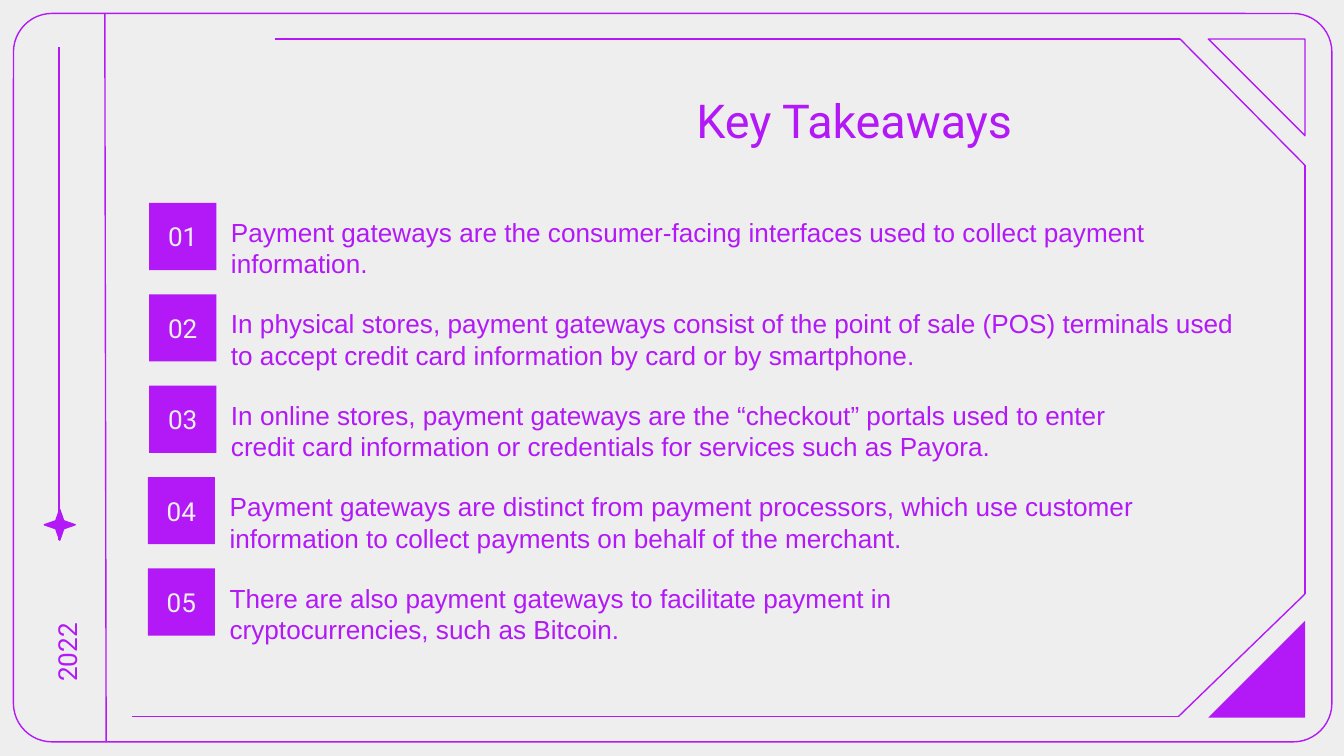
import pptx
import pptx.util
import pptx.dml.color
import pptx.enum.shapes
import pptx.enum.text
import pptx.oxml.ns
from lxml import etree

Inches, Pt = pptx.util.Inches, pptx.util.Pt
SHAPE = pptx.enum.shapes.MSO_SHAPE
ANCHOR = pptx.enum.text.MSO_ANCHOR
ALIGN = pptx.enum.text.PP_ALIGN

SLIDE_WIDTH = 10
SLIDE_HEIGHT = SLIDE_WIDTH * 9 / 16
PURPLE, PALE = "B219F6", "EEEEEE"
TITLE, YEAR = "Key Takeaways", "2022"

# Text, left edge of the number square, width of the text box
TAKEAWAYS = [
    ("Payment gateways are the consumer-facing interfaces used to collect "
     "payment information.", 1.11, 7.39),
    ("In physical stores, payment gateways consist of the point of sale (POS) "
     "terminals used to accept credit card information by card or by smartphone.",
     1.11, 7.83),
    ("In online stores, payment gateways are the “checkout” portals used to enter "
     "credit card information or credentials for services such as Payora.",
     1.11, 6.82),
    ("Payment gateways are distinct from payment processors, which use customer "
     "information to collect payments on behalf of the merchant.", 1.1, 7.71),
    ("There are also payment gateways to facilitate payment in cryptocurrencies, "
     "such as Bitcoin.", 1.1, 6.08),
]
FIRST_TOP, ROW_STEP, SQUARE, TEXT_OFFSET = 1.51, 0.68, 0.5, 0.51

FRAME_LINES = [
    ((0.78, 0.1), (0.79, 5.52)),
    ((0.98, 5.33), (8.77, 5.33)),
    ((9.71, 4.42), (8.77, 5.33)),
    ((2.05, 0.29), (8.78, 0.29)),
    ((9.71, 1.23), (8.78, 0.29)),
    ((9.71, 1.23), (9.71, 4.42)),
]
STAR_LINE = ((0.44, 4.02), (0.44, 0.35))


def color(value):
    return pptx.dml.color.RGBColor.from_string(value)


def add_line(slide, start, end):
    points = [Inches(value) for value in (*start, *end)]
    line = slide.shapes.add_connector(
        pptx.enum.shapes.MSO_CONNECTOR.STRAIGHT, *points)
    line.line.color.rgb = color(PURPLE)
    line.line.width = Pt(0.75)
    properties = line._element.spPr
    etree.SubElement(properties, pptx.oxml.ns.qn("a:effectLst"))


def add_shape(slide, kind, box, filled=False, outlined=False, rotation=0):
    shape = slide.shapes.add_shape(kind, *[Inches(value) for value in box])
    shape.shadow.inherit = False
    shape.rotation = rotation
    if filled:
        shape.fill.solid()
        shape.fill.fore_color.rgb = color(PURPLE)
    else:
        shape.fill.background()
    if outlined:
        shape.line.color.rgb = color(PURPLE)
        shape.line.width = Pt(0.75)
    else:
        shape.line.fill.background()
    return shape


def write(shape, text, font="Roboto", size=14, ink=PURPLE, align=ALIGN.CENTER,
          anchor=ANCHOR.MIDDLE, side=0.1, edge=0.1):
    """Put one paragraph in a shape; side and edge are its insets."""
    frame = shape.text_frame
    frame.word_wrap = True
    frame.vertical_anchor = anchor
    frame.margin_left = frame.margin_right = Inches(side)
    frame.margin_top = frame.margin_bottom = Inches(edge)
    frame.text = text
    paragraph = frame.paragraphs[0]
    paragraph.alignment = align
    run_font = paragraph.runs[0].font
    run_font.name = font
    run_font.size = Pt(size)
    run_font.color.rgb = color(ink)


def add_text(slide, box, text, **style):
    text_box = slide.shapes.add_textbox(*[Inches(value) for value in box])
    write(text_box, text, **style)
    return text_box


def add_frame(slide):
    border = add_shape(slide, SHAPE.ROUNDED_RECTANGLE, (0.1, 0.1, 9.81, 5.42),
                       outlined=True)
    border.adjustments[0] = 0.053
    for start, end in FRAME_LINES:
        add_line(slide, start, end)
    add_shape(slide, SHAPE.RIGHT_TRIANGLE, (8.99, 4.62, 0.72, 0.72),
              filled=True, rotation=270)
    add_shape(slide, SHAPE.RIGHT_TRIANGLE, (8.99, 0.29, 0.72, 0.72),
              outlined=True, rotation=180)


def add_side_strip(slide):
    year = add_text(slide, (-0.03, 4.74, 0.95, 0.23), YEAR,
                    anchor=ANCHOR.TOP, edge=0.05)
    year.rotation = 270
    star = add_shape(slide, SHAPE.STAR_4_POINT, (0.33, 3.79, 0.23, 0.23),
                     filled=True, outlined=True)
    star.adjustments[0] = 0.182
    add_line(slide, *STAR_LINE)


def add_takeaways(slide):
    for index, (text, left, width) in enumerate(TAKEAWAYS):
        top = FIRST_TOP + index * ROW_STEP
        add_text(slide, (left + TEXT_OFFSET, top, width, SQUARE), text,
                 font="Arial", align=ALIGN.LEFT, anchor=ANCHOR.TOP)
        square = add_shape(slide, SHAPE.RECTANGLE, (left, top, SQUARE, SQUARE),
                           filled=True)
        write(square, f"{index + 1:02}", ink=PALE, side=0)


def main():
    presentation = pptx.Presentation()
    presentation.slide_width = Inches(SLIDE_WIDTH)
    presentation.slide_height = Inches(SLIDE_HEIGHT)
    slide = presentation.slides.add_slide(presentation.slide_layouts[6])
    slide.background.fill.solid()
    slide.background.fill.fore_color.rgb = color(PALE)

    add_frame(slide)
    add_text(slide, (3.26, 0.46, 6.19, 0.87), TITLE, size=25)
    add_side_strip(slide)
    add_takeaways(slide)
    presentation.save("out.pptx")


if __name__ == "__main__":
    main()
